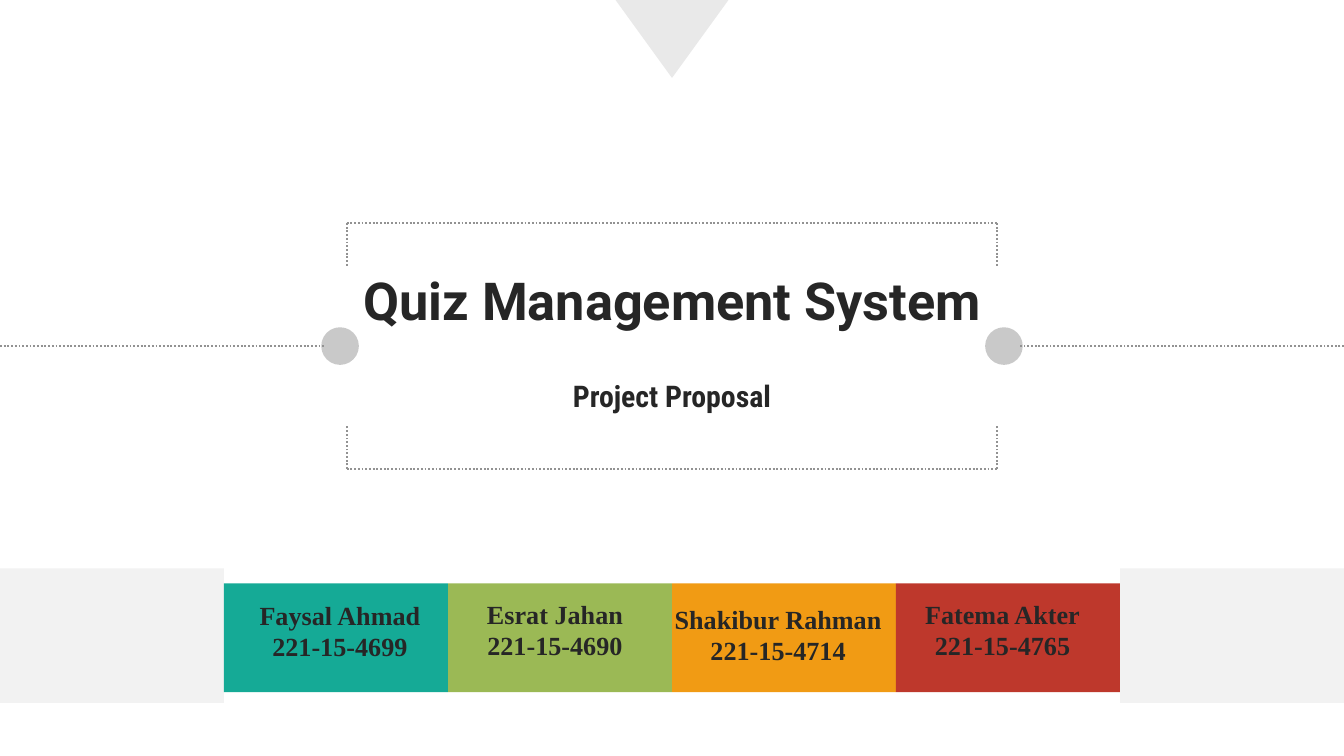
from lxml import etree
from pptx import Presentation
from pptx.dml.color import RGBColor
from pptx.enum.dml import MSO_LINE
from pptx.enum.shapes import MSO_CONNECTOR, MSO_SHAPE
from pptx.enum.text import MSO_ANCHOR, PP_ALIGN
from pptx.oxml.ns import qn
from pptx.util import Inches, Pt

RECTANGLE = MSO_SHAPE.RECTANGLE
TRIANGLE = MSO_SHAPE.ISOSCELES_TRIANGLE
OVAL = MSO_SHAPE.OVAL
STRAIGHT = MSO_CONNECTOR.STRAIGHT
DOTTED = MSO_LINE.ROUND_DOT  # written to the file as sysDot
CENTER = PP_ALIGN.CENTER
MIDDLE = MSO_ANCHOR.MIDDLE
TOP = MSO_ANCHOR.TOP

SLIDE_W = 10
SLIDE_H = SLIDE_W * 9 / 16
COLORS = {
    "text": "262626",
    "pointer": "E9E9E9",
    "dots": "929292",
    "knob": "C9C9C9",
    "side": "F2F2F2",
    "teal": "15AA96",
    "green": "9BB955",
    "orange": "F19B14",
    "red": "BE382C",
}

# Name, student number, band colour, centre and top of the label
MEMBERS = [
    ("Faysal Ahmad", "221-15-4699", "teal", 2.53, 4.41),
    ("Esrat Jahan", "221-15-4690", "green", 4.13, 4.4),
    ("Shakibur Rahman", "221-15-4714", "orange", 5.79, 4.44),
    ("Fatema Akter", "221-15-4765", "red", 7.46, 4.4),
]


def rgb(name):
    return RGBColor.from_string(COLORS[name])


def add_filled(slide, kind, box, color):
    shape = slide.shapes.add_shape(kind, *map(Inches, box))
    shape.shadow.inherit = False
    shape.fill.solid()
    shape.fill.fore_color.rgb = rgb(color)
    shape.line.fill.background()
    return shape


def add_dotted_line(slide, start, end):
    line = slide.shapes.add_connector(STRAIGHT, *map(Inches, (*start, *end)))
    line.line.color.rgb = rgb("dots")
    line.line.width = Pt(1)
    line.line.dash_style = DOTTED
    etree.SubElement(line._element.spPr, qn("a:effectLst"))


def write_text(shape, box, lines, font, size, anchor=MIDDLE, inset=0):
    shape.left, shape.top, shape.width, shape.height = map(Inches, box)
    frame = shape.text_frame
    frame.text = "\n".join(lines)
    frame.word_wrap = False
    frame.vertical_anchor = anchor
    frame.margin_left = frame.margin_right = Inches(2 * inset)
    frame.margin_top = frame.margin_bottom = Inches(inset)
    for paragraph in frame.paragraphs:
        paragraph.alignment = CENTER
        paragraph.font.name = font
        paragraph.font.size = Pt(size)
        paragraph.font.bold = True
        paragraph.font.color.rgb = rgb("text")
    return frame


def add_pointer(slide, box):
    add_filled(slide, TRIANGLE, box, "pointer").rotation = 180


def add_title_frame(slide, box):
    left, top, width, height = box
    right, bottom, middle = left + width, top + height, top + height / 2
    tick, knob = 0.33, 0.28

    # Open brackets above and below the title
    for y, tick_end in ((top, top + tick), (bottom, bottom - tick)):
        add_dotted_line(slide, (left, y), (right, y))
        for x in (left, right):
            add_dotted_line(slide, (x, y), (x, tick_end))

    # Knobs with lines out to the slide edges
    for x, edge, outward in ((left - 0.05, 0, -1), (right + 0.05, SLIDE_W, 1)):
        add_filled(slide, OVAL, (x - knob / 2, middle - knob / 2, knob, knob), "knob")
        add_dotted_line(slide, (edge, middle), (x + outward * 0.11, middle))

    # Title and subtitle
    write_text(slide.shapes.title, (left - 0.05, top + 0.22, width + 0.1, 0.7),
               ["Quiz Management System"], "Roboto", 28)
    subtitle_box = (left + 0.17, top + 1.01, width - 0.34, 0.55)
    subtitle = slide.shapes.add_textbox(*map(Inches, subtitle_box))
    frame = write_text(subtitle, subtitle_box, ["Project Proposal"],
                       "Roboto Condensed", 16)
    frame.paragraphs[0].space_before = Pt(3)


def add_member_band(slide, box):
    left, top, width, height = box
    column = width / (len(MEMBERS) + 2)

    # Grey blocks fill the outer columns
    for x in (left, left + width - column):
        add_filled(slide, RECTANGLE, (x, top, column, height), "side")

    # One coloured block per member
    for i, (_, _, color, _, _) in enumerate(MEMBERS, start=1):
        add_filled(slide, RECTANGLE,
                   (left + i * column, top + 0.11, column, 0.81), color)

    # Names and numbers
    for name, number, _, center, label_top in MEMBERS:
        label_box = (center - 0.87, label_top, 1.74, 0.57)
        label = slide.shapes.add_textbox(*map(Inches, label_box))
        write_text(label, label_box, [name, number], "Times New Roman", 14,
                   anchor=TOP, inset=0.05)


def main():
    deck = Presentation()
    deck.slide_width, deck.slide_height = Inches(SLIDE_W), Inches(SLIDE_H)
    slide = deck.slides.add_slide(deck.slide_layouts[5])
    add_pointer(slide, (4.58, 0, 0.84, 0.58))
    add_title_frame(slide, (2.58, 1.66, 4.84, 1.83))
    add_member_band(slide, (0, 4.23, SLIDE_W, 1))
    deck.save("out.pptx")


if __name__ == "__main__":
    main()
